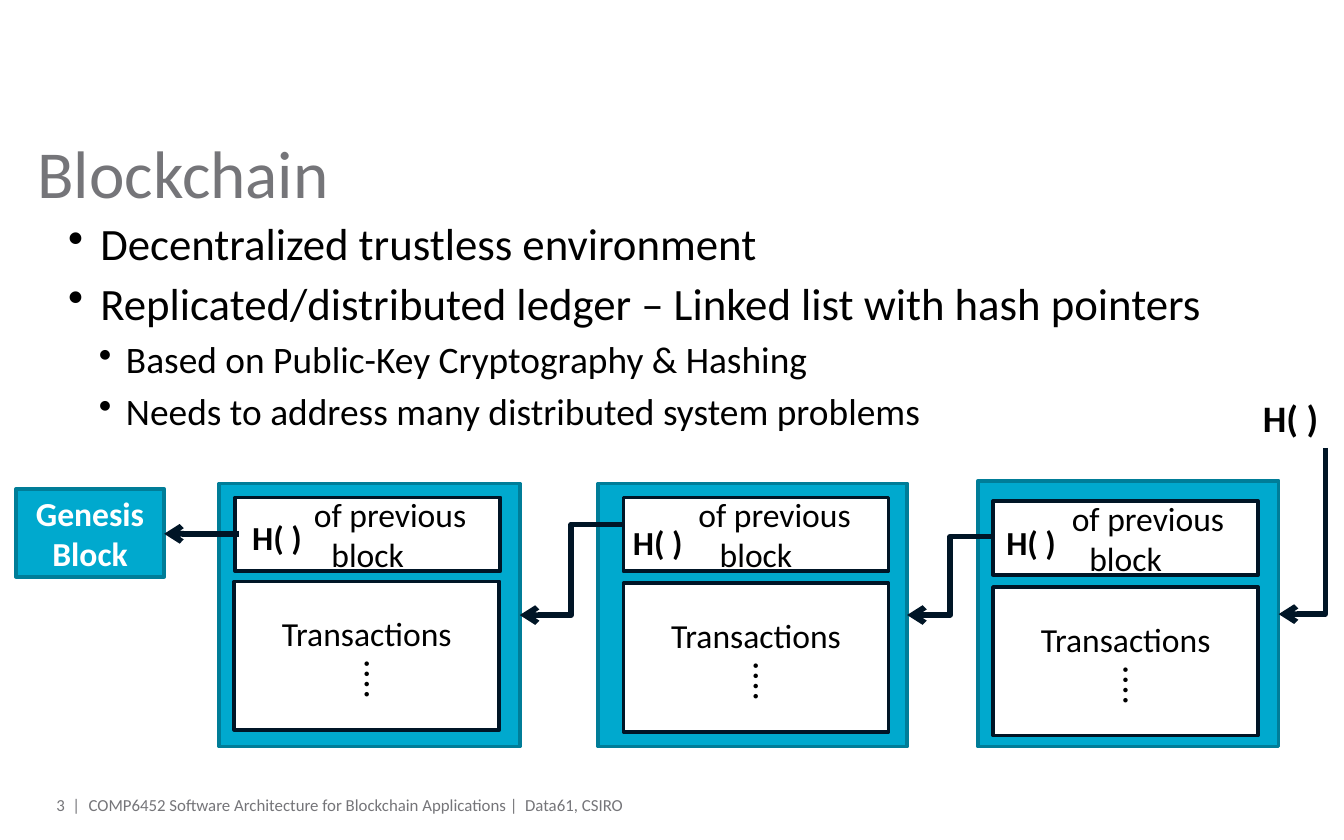
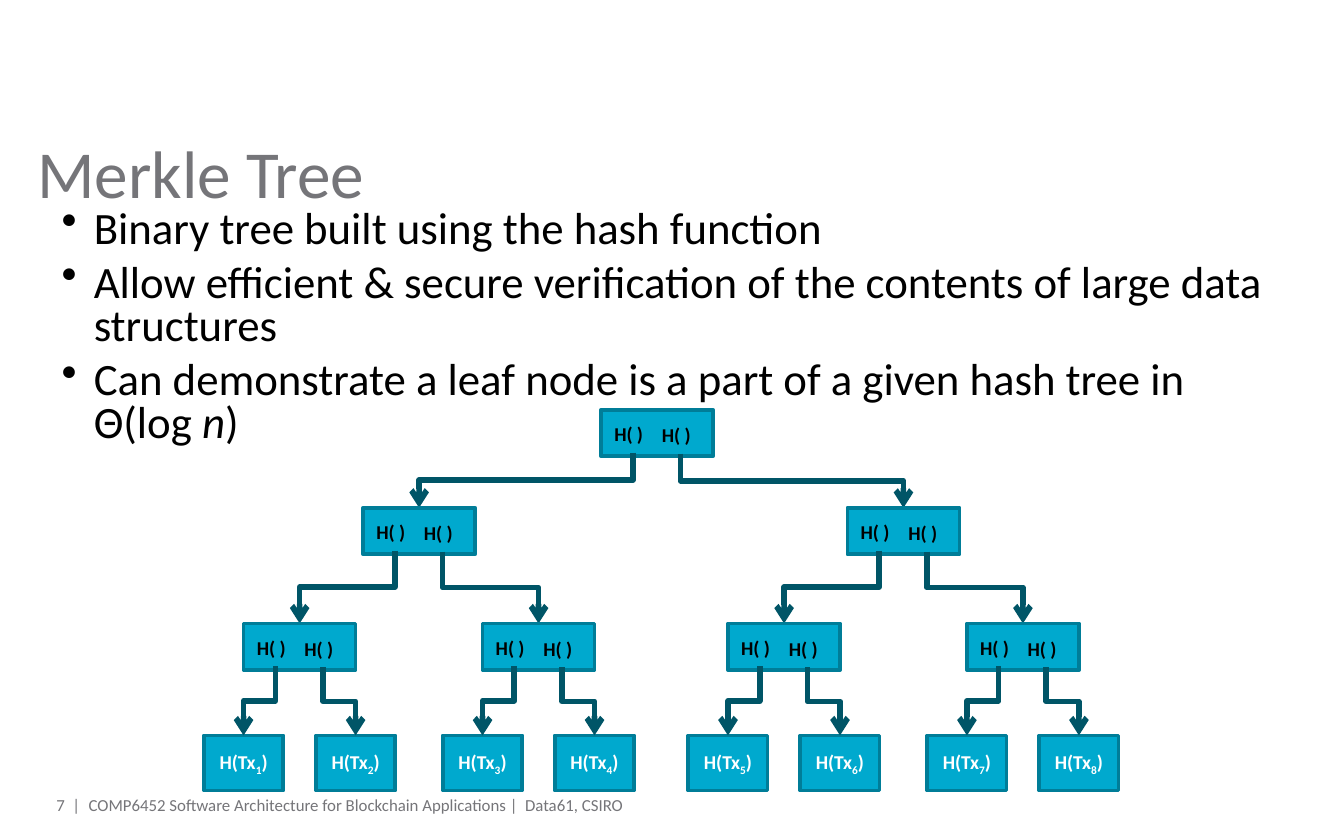
from pptx import Presentation
from pptx.dml.color import RGBColor
from pptx.enum.shapes import MSO_CONNECTOR as Connector, MSO_SHAPE as Shape
from pptx.enum.text import MSO_ANCHOR as Anchor, MSO_AUTO_SIZE as AutoSize, PP_ALIGN as Align
from pptx.oxml.ns import qn
from pptx.oxml.xmlchemy import OxmlElement
from pptx.util import Pt

BLACK = RGBColor(0x00, 0x00, 0x00)
WHITE = RGBColor(0xFF, 0xFF, 0xFF)
GREY = RGBColor(0x75, 0x75, 0x79)
CYAN = RGBColor(0x00, 0xA9, 0xCE)
TEAL = RGBColor(0x00, 0x7D, 0x98)
DEEP_TEAL = RGBColor(0x00, 0x55, 0x67)
NAVY = RGBColor(0x00, 0x15, 0x26)

FONT = "Calibri"
TITLE_ONLY = 5
BULLET_INDENTS = [(17.25, -17.25), (31, -14.5)]
BULLET_SIZES = [24, 20]
FOOTER = "COMP6452 Software Architecture for Blockchain Applications |  Data61, CSIRO"


def set_attributes(target, values):
    for name, value in values.items():
        setattr(target, name, value)


class Deck:
    def __init__(self):
        self.presentation = Presentation()
        set_attributes(self.presentation, {"slide_width": Pt(720), "slide_height": Pt(450)})
        self.slide = None

    def new_slide(self, title, number):
        layout = self.presentation.slide_layouts[TITLE_ONLY]
        self.slide = self.presentation.slides.add_slide(layout)
        placeholder = self.slide.shapes.title
        set_attributes(placeholder, {
            "left": Pt(20), "top": Pt(70.5), "width": Pt(680.5), "height": Pt(56)})
        frame = self.prepare_frame(placeholder, Anchor.TOP, 0)
        self.fill_paragraph(frame.paragraphs[0], [title], 36, GREY, alignment=Align.LEFT)
        self.text((47.5, 427, 479, 8), FOOTER, 9, GREY, Anchor.MIDDLE, 0)
        self.text((20, 427, 23, 8.5), f"{number}  |", 9, GREY, Anchor.MIDDLE, 0, Align.RIGHT)

    def prepare_frame(self, shape, anchor, margin=None):
        frame = shape.text_frame
        set_attributes(frame, {
            "word_wrap": True, "auto_size": AutoSize.NONE, "vertical_anchor": anchor})
        if margin is not None:
            for side in ("left", "top", "right", "bottom"):
                setattr(frame, f"margin_{side}", Pt(margin))
        return frame

    def fill_paragraph(self, paragraph, runs, size, color, bold=False, **paragraph_format):
        set_attributes(paragraph, paragraph_format)
        for item in runs:
            text, extra = item if isinstance(item, tuple) else (item, {})
            run = paragraph.add_run()
            run.text = text
            values = {"name": FONT, "size": Pt(size), "bold": bold, **extra}
            baseline = values.pop("baseline", None)
            set_attributes(run.font, values)
            run.font.color.rgb = color
            if baseline:
                run._r.get_or_add_rPr().set("baseline", str(baseline))

    def text(self, box, text, size, color, anchor=Anchor.TOP, margin=None, alignment=Align.LEFT):
        shape = self.slide.shapes.add_textbox(*map(Pt, box))
        frame = self.prepare_frame(shape, anchor, margin)
        self.fill_paragraph(frame.paragraphs[0], [text], size, color, alignment=alignment)

    def hash_label(self, left, top, width, height, size):
        shape = self.slide.shapes.add_textbox(*map(Pt, (left, top, width, height)))
        frame = self.prepare_frame(shape, Anchor.TOP)
        frame.auto_size = AutoSize.SHAPE_TO_FIT_TEXT
        self.fill_paragraph(frame.paragraphs[0], ["H( )"], size, BLACK, True)

    def bullets(self, box, items, line_spacing):
        shape = self.slide.shapes.add_textbox(*map(Pt, box))
        frame = self.prepare_frame(shape, Anchor.TOP, 0)
        for index, (level, runs) in enumerate(items):
            paragraph = frame.add_paragraph() if index else frame.paragraphs[0]
            self.indent(paragraph, *BULLET_INDENTS[level])
            bullet = OxmlElement("a:buChar")
            bullet.set("char", "•")
            paragraph._p.get_or_add_pPr().append(bullet)
            self.fill_paragraph(paragraph, runs, BULLET_SIZES[level], BLACK, level=level,
                                line_spacing=line_spacing, space_before=Pt(6 if index else 0))

    def indent(self, paragraph, margin, first_line):
        properties = paragraph._p.get_or_add_pPr()
        properties.set("marL", str(Pt(margin)))
        properties.set("indent", str(Pt(first_line)))

    def box(self, box, lines=(), fill=CYAN, line=TEAL, color=WHITE, bold=False, first_line=0):
        shape = self.slide.shapes.add_shape(Shape.RECTANGLE, *map(Pt, box))
        shape.shadow.inherit = False
        shape.fill.solid()
        shape.fill.fore_color.rgb = fill
        shape.line.color.rgb = line
        shape.line.width = Pt(2)
        frame = self.prepare_frame(shape, Anchor.MIDDLE)
        for index, (runs, size) in enumerate(lines):
            paragraph = frame.add_paragraph() if index else frame.paragraphs[0]
            if first_line:
                self.indent(paragraph, 0, first_line)
            self.fill_paragraph(paragraph, runs, size, color, bold, alignment=Align.CENTER)

    def arrow(self, start, end, color, downward=False, preset="bentConnector3"):
        if downward:
            center_x, center_y = (start[0] + end[0]) / 2, (start[1] + end[1]) / 2
            half_x, half_y = (end[0] - start[0]) / 2, (end[1] - start[1]) / 2
            start = (center_x - half_y, center_y + half_x)
            end = (center_x + half_y, center_y - half_x)
        connector = self.slide.shapes.add_connector(Connector.ELBOW, *map(Pt, start + end))
        connector.line.color.rgb = color
        connector.line.width = Pt(3)
        properties = connector.element.spPr
        if downward:
            properties.find(qn("a:xfrm")).set("rot", "5400000")
        properties.find(qn("a:prstGeom")).set("prst", preset)
        head = OxmlElement("a:tailEnd")
        head.set("type", "arrow")
        properties.find(qn("a:ln")).append(head)
        properties.append(OxmlElement("a:effectLst"))


def build_blockchain(deck):
    deck.new_slide("Blockchain", 3)
    deck.bullets((36.5, 119, 637, 140.5), [
        (0, ["Decentralized trustless environment"]),
        (0, ["Replicated/distributed ledger – Linked list with hash pointers"]),
        (1, ["Based on Public-Key Cryptography & Hashing"]),
        (1, ["Needs to address many distributed system problems"]),
    ], 0.9)
    blocks = [
        ((117.5, 259, 161, 141), (126, 266.5), (125.5, 311.5), (128, 273.5, 45.5), 24),
        ((320.5, 259, 165.5, 141), (334, 266.5), (334, 312.5), (332, 276, 45.5), 20),
        ((524, 257.5, 161, 142.5), (532, 268.5), (532, 314.5), (532, 276, 51), 24),
    ]
    inner = {"fill": WHITE, "line": NAVY, "color": BLACK}
    for outline, header, transactions, label, first_line in blocks:
        deck.box(outline)
        deck.box((*transactions, 142, 79.5), [(["Transactions"], 18), (["⁞"], 20)], **inner)
        deck.box((*header, 142, 39.5), [(["of previous block"], 18)],
                 first_line=first_line, **inner)
        deck.hash_label(*label, 24.5, 18)
    deck.box((8.5, 262, 79.5, 47), [(["Genesis Block"], 18)], bold=True)
    deck.hash_label(669.5, 208, 51, 31.5, 20)
    deck.arrow((710, 240), (685, 329), NAVY, downward=True, preset="bentConnector2")
    for start, end in [
        ((532, 287.5), (486, 329.5)),
        ((333.5, 281), (278.5, 329.5)),
        ((128, 286), (88, 286)),
    ]:
        deck.arrow(start, end, NAVY)


def build_merkle_tree(deck):
    deck.new_slide("Merkle Tree", 7)
    deck.bullets((33, 112.5, 656.5, 135.5), [
        (0, ["Binary tree built using the hash function"]),
        (0, ["Allow efficient & secure verification of the contents of large data structures"]),
        (0, ["Can demonstrate a leaf node is a part of a given hash tree in Θ(log ",
             ("n", {"italic": True}), ")"]),
    ], 0.8)
    node_width, node_height = 60, 25
    leaf_width, leaf_height = 42.5, 29.5
    leaf_top = 394
    levels = [
        (219.5, [322]),
        (272, [194.5, 454]),
        (334, [130.5, 258.5, 390, 518]),
    ]
    leaf_centers = [left + side for left in levels[-1][1] for side in (0, node_width)]
    for number, center in enumerate(leaf_centers, 1):
        runs = ["H(Tx", (str(number), {"baseline": -25000}), ")"]
        deck.box((center - leaf_width / 2, leaf_top, leaf_width, leaf_height),
                 [(runs, 10.5)], bold=True)
    targets = [(top, [left + node_width / 2 for left in lefts]) for top, lefts in levels[1:]]
    targets.append((leaf_top, leaf_centers))
    for (top, lefts), (child_top, child_centers) in zip(levels, targets):
        for index, left in enumerate(lefts):
            deck.box((left, top, node_width, node_height))
            for side in range(2):
                deck.hash_label(left + 25.5 * side, top + 3 + 0.5 * side, 34, 20, 10.5)
                deck.arrow((left + 17 + 25.5 * side, top + 23 + 0.5 * side),
                           (child_centers[2 * index + side], child_top),
                           DEEP_TEAL, downward=True)


def main():
    deck = Deck()
    build_blockchain(deck)
    build_merkle_tree(deck)
    deck.presentation.save("out.pptx")


if __name__ == "__main__":
    main()
